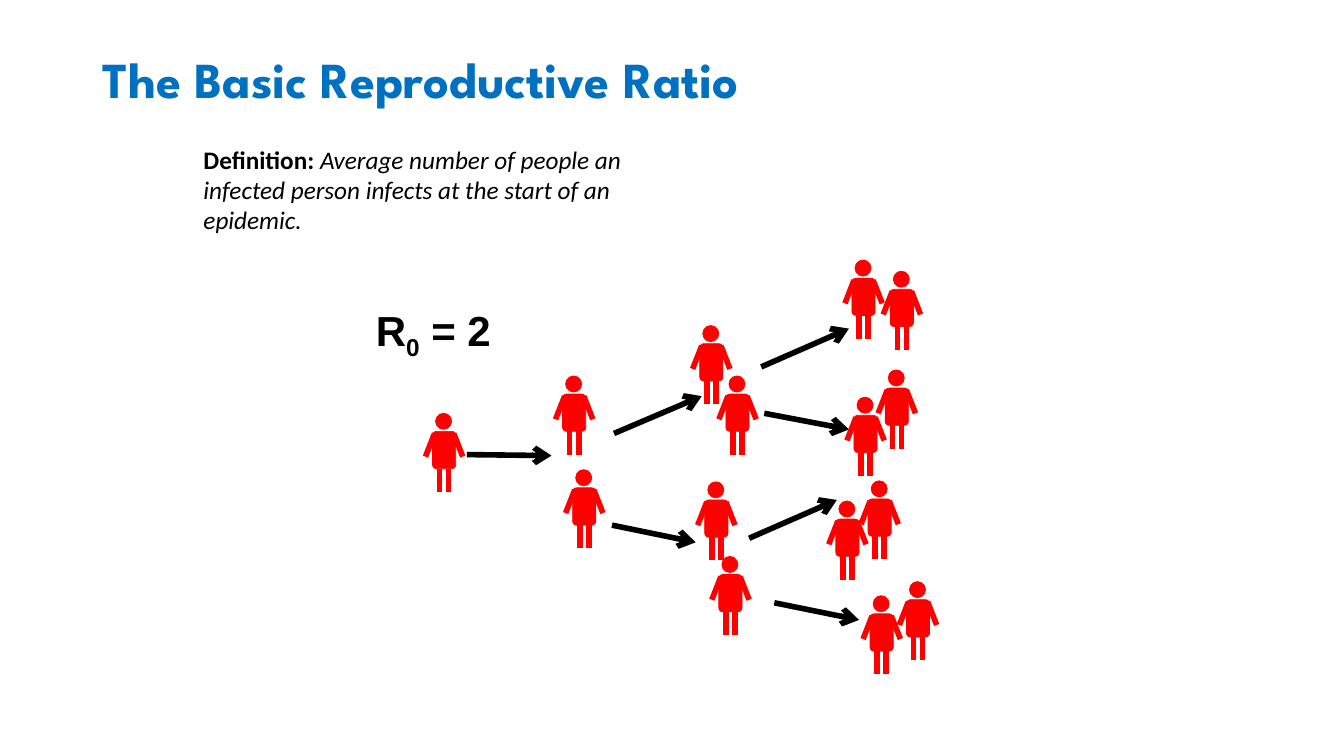
from typing import NamedTuple

from lxml.etree import SubElement
from pptx import Presentation
from pptx.dml.color import RGBColor
from pptx.enum.shapes import MSO_CONNECTOR as Connector, MSO_SHAPE as Shape
from pptx.enum.text import MSO_ANCHOR as Anchor
from pptx.oxml.ns import qn
from pptx.shapes.group import GroupShape
from pptx.slide import Slide
from pptx.util import Pt

PX = 9144
RED, BLACK, BLUE = "FF0000", "000000", "0070C0"


class Line(NamedTuple):
    x1: int
    y1: int
    x2: int
    y2: int


class Person(NamedTuple):
    left: int
    top: int


class Generation(NamedTuple):
    arrows: list[Line]
    people: list[Person]


class Span(NamedTuple):
    text: str
    bold: bool = False
    italic: bool = False
    baseline: int = 0


class TextBlock(NamedTuple):
    left: int
    top: int
    width: int
    height: int
    font: str
    size: int
    color: str
    spans: list[Span]
    anchor: Anchor = Anchor.TOP
    line_spacing: float = 1.0


LIMBS = [
    Line(2, 2, -7, 25),
    Line(7, 37, 7, 60),
    Line(16, 37, 16, 60),
    Line(21, 2, 30, 25),
]

GENERATIONS = [
    Generation([], [Person(429, 428)]),
    Generation([Line(463, 451, 547, 452)], [Person(568, 484), Person(558, 391)]),
    Generation(
        [Line(609, 430, 696, 393), Line(607, 521, 690, 538)],
        [Person(713, 570), Person(694, 341), Person(699, 496), Person(720, 391)],
    ),
    Generation(
        [
            Line(743, 534, 830, 496),
            Line(755, 364, 842, 326),
            Line(758, 410, 842, 426),
            Line(768, 598, 852, 615),
        ],
        [
            Person(863, 609), Person(845, 276), Person(878, 385), Person(883, 287),
            Person(847, 412), Person(861, 495), Person(829, 515), Person(899, 595),
        ],
    ),
]

TEXTS = [
    TextBlock(
        92, 40, 1150, 83, "League Spartan", 36, BLUE,
        [Span("The Basic Reproductive Ratio", bold=True)], Anchor.MIDDLE, 0.9,
    ),
    TextBlock(
        363, 297, 157, 61, "Arial", 30, BLACK,
        [Span("R", bold=True), Span("0", bold=True, baseline=-25000), Span(" = 2", bold=True)],
    ),
    TextBlock(
        192, 138, 500, 101, "Calibri", 18, BLACK,
        [
            Span("Definition: ", bold=True),
            Span(
                "Average number of people an infected person infects at the start of an epidemic.",
                italic=True,
            ),
        ],
    ),
]


def rgb(color: str) -> RGBColor:
    return RGBColor.from_string(color)


def draw_line(group: GroupShape, line: Line, color: str, arrow: bool = False) -> None:
    connector = group.shapes.add_connector(Connector.STRAIGHT, *(value * PX for value in line))
    connector.line.color.rgb = rgb(color)
    connector.line.width = Pt(4)
    if arrow:
        SubElement(connector.line._get_or_add_ln(), qn("a:tailEnd"), type="arrow")
    SubElement(connector._element.spPr, qn("a:effectLst"))


def draw_part(group: GroupShape, kind: Shape, left: int, top: int, width: int, height: int) -> None:
    part = group.shapes.add_shape(kind, left * PX, top * PX, width * PX, height * PX)
    part.shadow.inherit = False
    part.fill.solid()
    part.fill.fore_color.rgb = rgb(RED)
    part.line.color.rgb = rgb(RED)
    part.line.width = Pt(0.5)


def draw_person(group: GroupShape, person: Person) -> None:
    left, top = person
    draw_part(group, Shape.ROUNDED_RECTANGLE, left, top, 23, 37)
    draw_part(group, Shape.OVAL, left + 3, top - 18, 16, 16)
    for limb in LIMBS:
        placed = Line(left + limb.x1, top + limb.y1, left + limb.x2, top + limb.y2)
        draw_line(group, placed, RED)


def draw_generation(page: Slide, generation: Generation) -> None:
    group = page.shapes.add_group_shape()
    for arrow in generation.arrows:
        draw_line(group, arrow, BLACK, arrow=True)
    for person in generation.people:
        draw_person(group, person)


def draw_text(page: Slide, block: TextBlock) -> None:
    box = page.shapes.add_textbox(
        block.left * PX, block.top * PX, block.width * PX, block.height * PX
    )
    frame = box.text_frame
    frame.word_wrap = True
    frame.vertical_anchor = block.anchor
    para = frame.paragraphs[0]
    para.line_spacing = block.line_spacing
    for span in block.spans:
        run = para.add_run()
        run.text = span.text
        run.font.name = block.font
        run.font.size = Pt(block.size)
        run.font.color.rgb = rgb(block.color)
        run.font.bold = span.bold
        run.font.italic = span.italic
        if span.baseline:
            run.font._element.set("baseline", str(span.baseline))


def main() -> None:
    deck = Presentation()
    deck.slide_width = 1333 * PX
    deck.slide_height = 750 * PX
    page = deck.slides.add_slide(deck.slide_layouts[6])
    title, *labels = TEXTS
    draw_text(page, title)
    for generation in GENERATIONS:
        draw_generation(page, generation)
    for label in labels:
        draw_text(page, label)
    deck.save("out.pptx")


if __name__ == "__main__":
    main()
